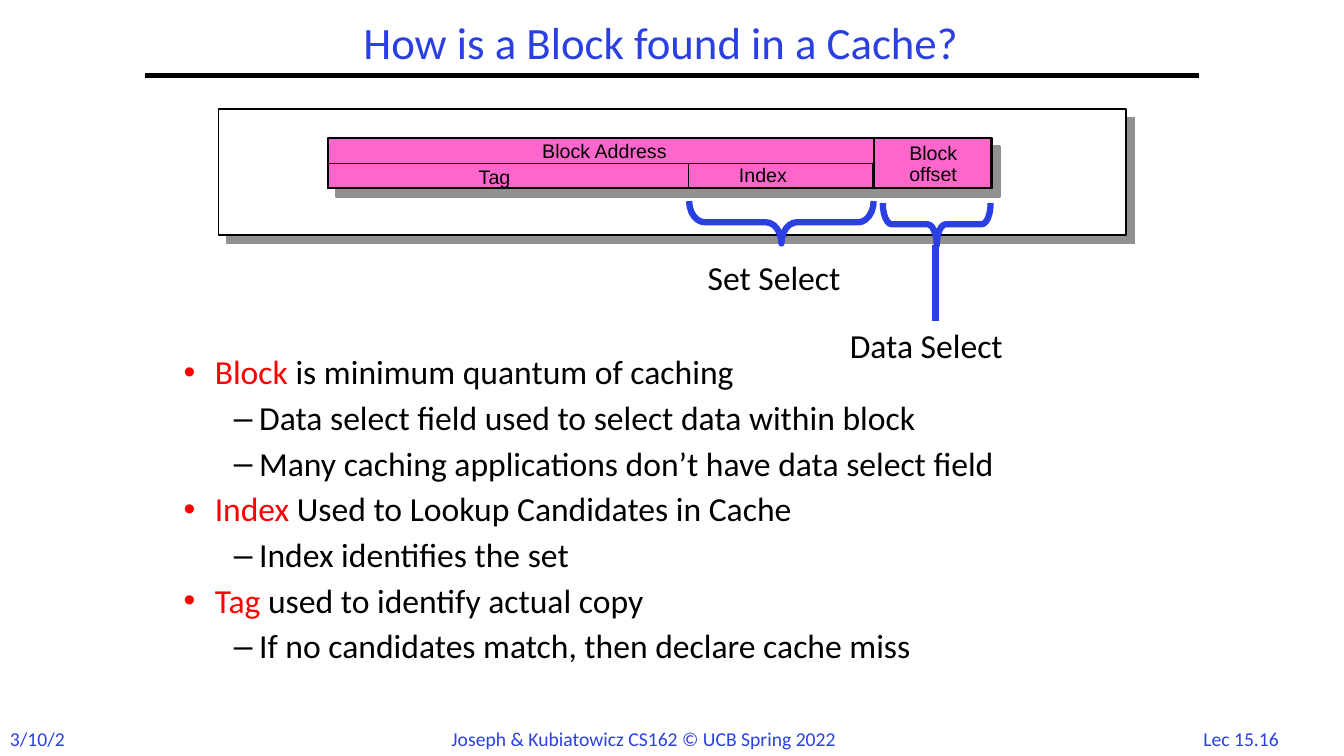
from lxml import etree
from pptx import Presentation
from pptx.dml.color import RGBColor
from pptx.enum.shapes import MSO_CONNECTOR, MSO_SHAPE
from pptx.enum.text import MSO_ANCHOR, PP_ALIGN
from pptx.oxml.ns import qn
from pptx.util import Inches, Pt

RECTANGLE = MSO_SHAPE.RECTANGLE
RIGHT_BRACE = MSO_SHAPE.RIGHT_BRACE
STRAIGHT = MSO_CONNECTOR.STRAIGHT
LEFT, CENTER = PP_ALIGN.LEFT, PP_ALIGN.CENTER
MIDDLE = MSO_ANCHOR.MIDDLE
BLUE, BLACK, RED, PINK, WHITE, GRAY = "2A40E2", "000000", "FF0000", "FF66CC", "FFFFFF", "919191"


def color(value):
    return RGBColor.from_string(value)


def add_text(text, left, top, width, height, size, font, text_color, align=LEFT, spacing=1.0):
    shape = slide.shapes.add_textbox(Inches(left), Inches(top), Inches(width), Inches(height))
    shape.text_frame.text = text
    shape.text_frame.word_wrap = False
    for paragraph in shape.text_frame.paragraphs:
        paragraph.alignment = align
        paragraph.line_spacing = spacing
        for run in paragraph.runs:
            run.font.size = Pt(size)
            run.font.name = font
            run.font.color.rgb = color(text_color)
    return shape


presentation = Presentation()
presentation.slide_width = Inches(13.33)
presentation.slide_height = Inches(7.5)
slide = presentation.slides.add_slide(presentation.slide_layouts[6])

add_text("Lec 15.16", 11.77, 7.16, 1.08, 0.33, 14, "Calibri", BLUE, CENTER)
add_text("3/10/22", 0, 7.16, 0.8, 0.34, 14, "Calibri", BLUE)
add_text("Joseph & Kubiatowicz CS162 © UCB Spring 2022", 4.38, 7.16, 4.13, 0.34, 14, "Calibri", BLUE)

title = add_text("How is a Block found in a Cache?", 2.5, 0.25, 8.11, 0.4, 32, "Calibri", BLUE, CENTER, 0.9)
title.text_frame.word_wrap = True
title.text_frame.vertical_anchor = MIDDLE

points = [
    (0, "Block", " is minimum quantum of caching"),
    (1, "", "Data select field used to select data within block"),
    (1, "", "Many caching applications don’t have data select field"),
    (0, "Index", " Used to Lookup Candidates in Cache"),
    (1, "", "Index identifies the set"),
    (0, "Tag", " used to identify actual copy"),
    (1, "", "If no candidates match, then declare cache miss"),
]
body = slide.shapes.add_textbox(Inches(1.75), Inches(3.5), Inches(9.92), Inches(3.33))
text_frame = body.text_frame
text_frame.word_wrap = True
text_frame.margin_left = text_frame.margin_right = Inches(0.07)
text_frame.margin_top = text_frame.margin_bottom = Inches(0.03)
for number, (level, keyword, sentence) in enumerate(points):
    paragraph = text_frame.add_paragraph() if number else text_frame.paragraphs[0]
    paragraph.level = level
    paragraph.line_spacing = 0.9
    paragraph.space_before = Pt(6.7 if number else 0)
    indent, hanging, bullet = [(0.31, 0.31, "•"), (0.75, 0.25, "–")][level]
    properties = paragraph._p.get_or_add_pPr()
    properties.set("marL", str(Inches(indent)))
    properties.set("indent", str(-Inches(hanging)))
    etree.SubElement(properties, qn("a:buFont"), typeface="Arial")
    etree.SubElement(properties, qn("a:buChar"), char=bullet)
    for words, run_color in ((keyword, RED), (sentence, BLACK)):
        if words:
            run = paragraph.add_run()
            run.text = words
            run.font.size = Pt(24)
            run.font.name = "Calibri"
            run.font.color.rgb = color(run_color)

address_boxes = [
    (2.17, 1.08, 9, 1.25, WHITE, 1),
    (3.25, 1.37, 6.58, 0.5, PINK, 1.5),
    (3.25, 1.62, 5.42, 0.25, None, 1),
    (6.83, 1.62, 1.83, 0.25, None, 1),
    (8.67, 1.37, 1.17, 0.5, None, 1),
]
for left, top, width, height, fill, line_width in address_boxes:
    shape = slide.shapes.add_shape(RECTANGLE, Inches(left), Inches(top), Inches(width), Inches(height))
    shape.shadow.inherit = False
    shape.line.color.rgb = color(BLACK)
    shape.line.width = Pt(line_width)
    if fill is None:
        shape.fill.background()
        continue
    shape.fill.solid()
    shape.fill.fore_color.rgb = color(fill)
    effects = shape._element.spPr.find(qn("a:effectLst"))
    shadow = etree.SubElement(effects, qn("a:outerShdw"), dist=str(Pt(8.5)), dir="2700000",
                              algn="ctr", rotWithShape="0")
    etree.SubElement(shadow, qn("a:srgbClr"), val=GRAY)

add_text("Block\noffset", 8.92, 1.37, 0.68, 0.52, 14, "Arial", BLACK, spacing=0.9)
for label, left, top, width in [("Block Address", 5.28, 1.33, 1.44), ("Tag", 4.65, 1.59, 0.53),
                                ("Index", 7.23, 1.57, 0.68)]:
    add_text(label, left, top, width, 0.33, 14, "Arial", BLACK)

for left, top, height, curl in [(7.54, 1.29, 1.83, 0.367), (9.08, 1.69, 1.07, 0.214)]:
    brace = slide.shapes.add_shape(RIGHT_BRACE, Inches(left), Inches(top), Inches(0.42), Inches(height))
    brace.rotation = 90
    brace.adjustments[0] = curl
    brace.shadow.inherit = False
    brace.fill.background()
    brace.line.color.rgb = color(BLUE)
    brace.line.width = Pt(4.5)

add_text("Set Select", 6.92, 2.5, 1.74, 0.51, 24, "Calibri", BLACK)
add_text("Data Select", 8.33, 3.17, 1.94, 0.51, 24, "Calibri", BLACK)

for start_x, start_y, end_x, end_y, line_color, line_width in [
    (1.44, 0.75, 11.89, 0.75, BLACK, 3),
    (9.28, 2.43, 9.28, 3.18, BLUE, 4.5),
]:
    connector = slide.shapes.add_connector(STRAIGHT, Inches(start_x), Inches(start_y),
                                           Inches(end_x), Inches(end_y))
    connector.line.color.rgb = color(line_color)
    connector.line.width = Pt(line_width)
    etree.SubElement(connector._element.spPr, qn("a:effectLst"))

presentation.save("out.pptx")
